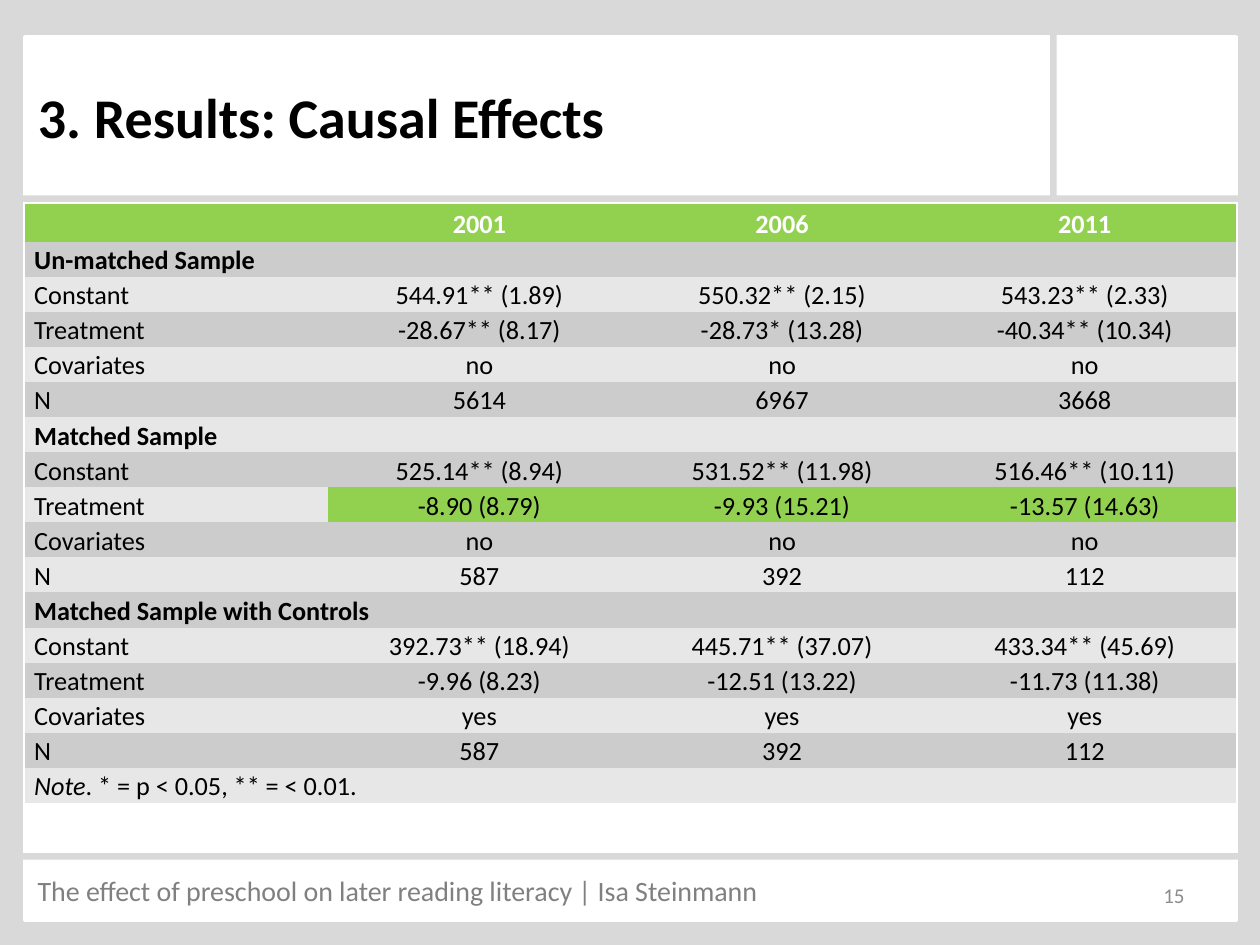
from dataclasses import dataclass
from typing import NamedTuple

from pptx import Presentation
from pptx.dml.color import RGBColor as RGB
from pptx.enum.shapes import MSO_SHAPE as Shape
from pptx.enum.text import MSO_ANCHOR as Anchor, PP_ALIGN as Align
from pptx.oxml.ns import qn
from pptx.util import Cm, Pt


@dataclass(frozen=True)
class Theme:
    font: str = "Calibri"
    paper: str = "FFFFFF"
    frame: str = "D9D9D9"
    ink: str = "000000"
    footer: str = "808080"
    number: str = "8C8C8C"
    accent: str = "92D050"
    dark_band: str = "CCCCCC"
    light_band: str = "E7E7E7"
    title_size: int = 32
    footer_size: int = 16
    number_size: int = 12
    table_size: int = 15
    table_leading: int = 20


class Box(NamedTuple):
    """Position and size in centimetres."""
    left: float
    top: float
    width: float
    height: float

    def lengths(self) -> list:
        return [Cm(v) for v in self]


class Sample(NamedTuple):
    """One section of the results table."""
    name: str
    constant: list
    treatment: list
    covariates: str
    n: list
    highlight: bool = False


THEME = Theme()
NO_STYLE = "{2D5ABB26-0587-4C30-8999-92F81FD0307C}"
PANEL = Box(0.51, 0.74, 24.41, 17.81)
DIVIDERS = [
    Box(0, 17.2, 25.4, 0.13),
    Box(0.2, 3.94, 25.1, 0.13),
    Box(21.17, 0.11, 0.13, 3.91),
]
TITLE = Box(0.51, 0.76, 20.6, 3.18)
FOOTER = Box(0.51, 17.48, 22, 1.63)
NUMBER = Box(18.21, 17.53, 5.92, 1.02)
TABLE = Box(0.51, 4.11, 24.41, 11.99)

YEARS = ["2001", "2006", "2011"]
SAMPLES = [
    Sample("Un-matched Sample",
           ["544.91** (1.89)", "550.32** (2.15)", "543.23** (2.33)"],
           ["-28.67** (8.17)", "-28.73* (13.28)", "-40.34** (10.34)"],
           "no", ["5614", "6967", "3668"]),
    Sample("Matched Sample",
           ["525.14** (8.94)", "531.52** (11.98)", "516.46** (10.11)"],
           ["-8.90 (8.79)", "-9.93 (15.21)", "-13.57 (14.63)"],
           "no", ["587", "392", "112"], highlight=True),
    Sample("Matched Sample with Controls",
           ["392.73** (18.94)", "445.71** (37.07)", "433.34** (45.69)"],
           ["-9.96 (8.23)", "-12.51 (13.22)", "-11.73 (11.38)"],
           "yes", ["587", "392", "112"]),
]
NOTE = ["Note", ". * = p < 0.05, ** = < 0.01."]


def style_text(p, size: int, color: str, bold: bool = False, align=Align.LEFT) -> None:
    p.alignment = align
    for r in p.runs:
        r.font.name = THEME.font
        r.font.size = Pt(size)
        r.font.bold = bold
        r.font.color.rgb = RGB.from_string(color)


def add_rect(s, box: Box, color: str) -> None:
    sp = s.shapes.add_shape(Shape.RECTANGLE, *box.lengths())
    sp.shadow.inherit = False
    sp.fill.solid()
    sp.fill.fore_color.rgb = RGB.from_string(color)
    sp.line.color.rgb = RGB.from_string(color)
    if color == THEME.paper:
        sp.line.width = Pt(2)
    else:
        sp.line.fill.background()


def add_text(s, box: Box, text: str, size: int, color: str,
             align=Align.LEFT, anchor=Anchor.TOP) -> None:
    tf = s.shapes.add_textbox(*box.lengths()).text_frame
    tf.word_wrap = True
    tf.vertical_anchor = anchor
    tf.text = text
    style_text(tf.paragraphs[0], size, color, align=align)


def place_title(s, text: str) -> None:
    title = s.shapes.title
    title.left, title.top, title.width, title.height = TITLE.lengths()
    tf = title.text_frame
    tf.text = text
    tf.vertical_anchor = Anchor.MIDDLE
    style_text(tf.paragraphs[0], THEME.title_size, THEME.ink, bold=True)
    # Bring the title in front of the panel
    title.element.getparent().append(title.element)


def format_cell(cell, fill: str, color: str, bold: bool, align) -> None:
    cell.fill.solid()
    cell.fill.fore_color.rgb = RGB.from_string(fill)
    cell.vertical_anchor = Anchor.MIDDLE
    cell.margin_left = cell.margin_right = Cm(0.18)
    cell.margin_top = cell.margin_bottom = 0
    p = cell.text_frame.paragraphs[0]
    p.line_spacing = Pt(THEME.table_leading)
    style_text(p, THEME.table_size, color, bold, align)


def table_rows() -> list[list[str]]:
    """Rows with a single entry span the whole table."""
    rows = [["", *YEARS]]
    for sample in SAMPLES:
        rows += [
            [sample.name],
            ["Constant", *sample.constant],
            ["Treatment", *sample.treatment],
            ["Covariates", *[sample.covariates] * len(YEARS)],
            ["N", *sample.n],
        ]
    return rows + [["".join(NOTE)]]


def add_results(s) -> None:
    rows = table_rows()
    n_cols = len(YEARS) + 1
    frame = s.shapes.add_table(len(rows), n_cols, *TABLE.lengths())
    next(frame.element.iter(qn("a:tableStyleId"))).text = NO_STYLE
    table = frame.table
    names = {sample.name for sample in SAMPLES}
    highlighted = {5 * i + 3 for i, sample in enumerate(SAMPLES) if sample.highlight}

    for i, row in enumerate(rows):
        band = THEME.dark_band if i % 2 else THEME.light_band
        header = i == 0
        for j in range(n_cols):
            cell = table.cell(i, j)
            cell.text = row[j] if j < len(row) else ""
            green = header or (i in highlighted and j > 0)
            format_cell(cell, THEME.accent if green else band,
                        THEME.paper if header else THEME.ink,
                        header or row[0] in names,
                        Align.CENTER if j else Align.JUSTIFY)
        if len(row) == 1:
            table.cell(i, 0).merge(table.cell(i, n_cols - 1))

    # Note: only its first word is italic
    p = table.cell(len(rows) - 1, 0).text_frame.paragraphs[0]
    p.runs[0].text = NOTE[0]
    p.add_run().text = NOTE[1]
    style_text(p, THEME.table_size, THEME.ink, align=Align.JUSTIFY)
    p.runs[0].font.italic = True


def main() -> None:
    prs = Presentation()
    prs.slide_width, prs.slide_height = Cm(25.4), Cm(19.05)
    s = prs.slides.add_slide(prs.slide_layouts[5])

    # Background, panel and dividers
    s.background.fill.solid()
    s.background.fill.fore_color.rgb = RGB.from_string(THEME.frame)
    add_rect(s, PANEL, THEME.paper)
    for divider in DIVIDERS:
        add_rect(s, divider, THEME.frame)

    # Title, footer and table
    place_title(s, "3. Results: Causal Effects")
    add_text(s, FOOTER, "The effect of preschool on later reading literacy | Isa Steinmann",
             THEME.footer_size, THEME.footer)
    add_text(s, NUMBER, "15", THEME.number_size, THEME.number, Align.RIGHT, Anchor.MIDDLE)
    add_results(s)
    prs.save("out.pptx")


if __name__ == "__main__":
    main()
